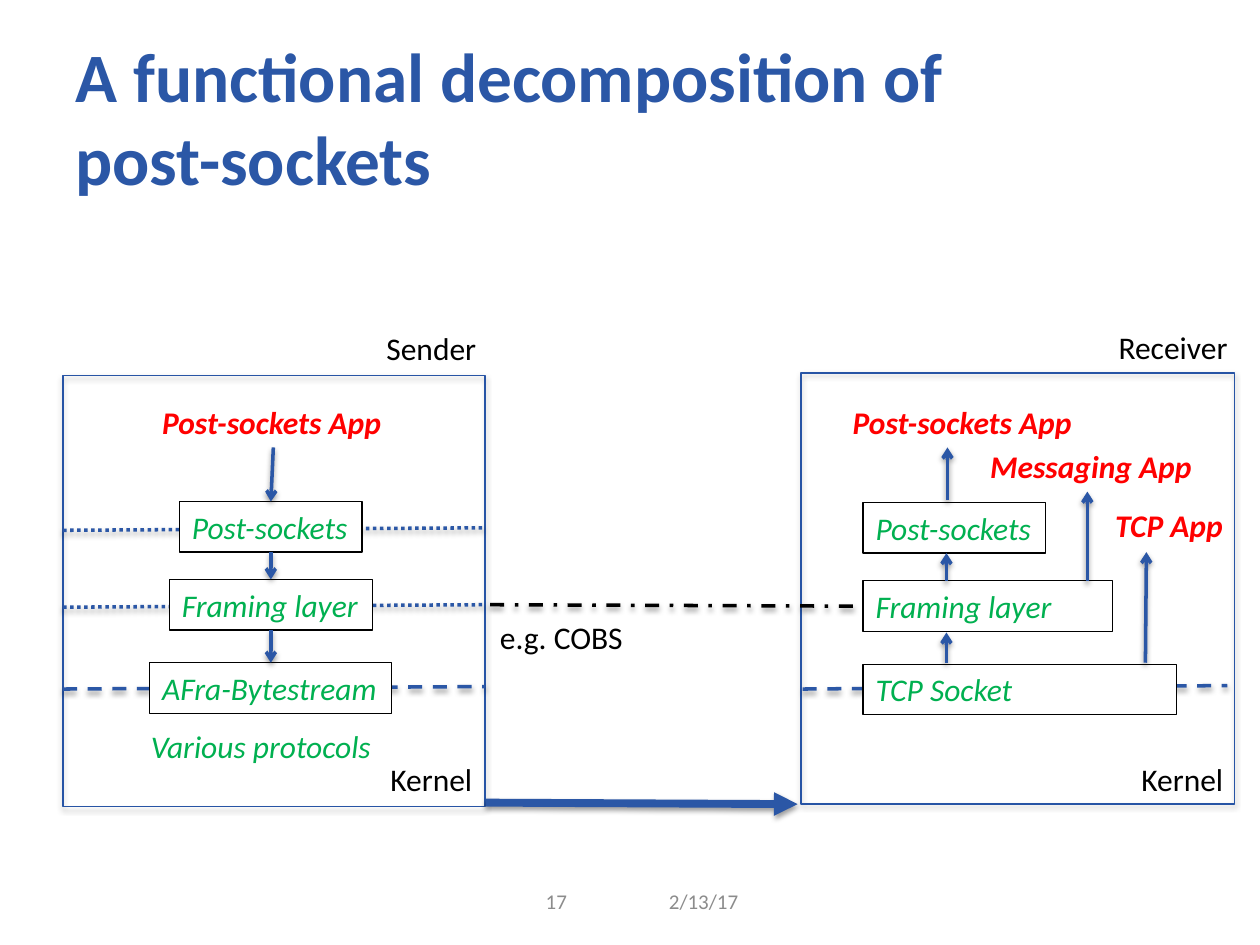
import pptx
import pptx.dml.color
import pptx.enum.dml
import pptx.enum.shapes
import pptx.enum.text
import pptx.oxml
import pptx.oxml.ns
import pptx.util
from lxml import etree

Cm, Pt = pptx.util.Cm, pptx.util.Pt
DASH = pptx.enum.dml.MSO_LINE
ALIGN = pptx.enum.text.PP_ALIGN
ANCHOR = pptx.enum.text.MSO_ANCHOR
AUTO_SIZE = pptx.enum.text.MSO_AUTO_SIZE

THEME = {
    "font": "Calibri",
    "blue": "2B57A6", "frame": "2754A5", "black": "000000", "white": "FFFFFF",
    "red": "FF0000", "green": "00B050", "grey": "8C8C8C",
    "title": 39.6, "body": 18, "footer": 12,
    "hairline": 0.75, "arrow": 2, "thick": 4.5,
}
STYLES = {
    "title": ("blue", {"size": Pt(THEME["title"]), "bold": True}),
    "plain": ("black", {"size": Pt(THEME["body"])}),
    "layer": ("green", {"size": Pt(THEME["body"]), "italic": True}),
    "app": ("red", {"size": Pt(THEME["body"]), "bold": True, "italic": True}),
    "footer": ("grey", {"size": Pt(THEME["footer"])}),
}
ROW_HEIGHT = 1.02

# All positions are in centimetres.
TITLE = "A functional decomposition of\vpost-sockets"
FRAMES = [(1.27, 7.57, 8.51, 8.69), (16.15, 7.52, 8.74, 8.69)]

# text, left, top, width, style
LABELS = [
    ("Sender", 7.54, 6.5, 2.34, "plain"),
    ("Receiver", 22.3, 6.48, 2.74, "plain"),
    ("Kernel", 7.62, 15.19, 2.18, "plain"),
    ("Kernel", 22.76, 15.19, 2.18, "plain"),
    ("e.g. COBS", 9.83, 12.34, 3.02, "plain"),
    ("Various protocols", 2.79, 14.53, 5, "layer"),
    ("Post-sockets App", 16.94, 8, 4.98, "app"),
    ("Messaging App", 19.71, 8.89, 4.62, "app"),
    ("TCP App", 22.23, 10.08, 2.72, "app"),
]
SENDER_APP = ("Post-sockets App", 3.02, 8, 4.98, "app")

# text, top, width
SENDER_CENTRE = 5.46
SENDER_LAYERS = [
    ("Post-sockets", 10.11, 3.68),
    ("Framing layer", 11.68, 4.09),
    ("AFra-Bytestream", 13.36, 4.88),
]
RECEIVER_LEFT = 17.4
RECEIVER_LAYERS = [
    ("Post-sockets", 10.13, 3.68),
    ("Framing layer", 11.71, 5.03),
    ("TCP Socket", 13.39, 6.32),
]

# start x, start y, end x, end y, dash
BOUNDARIES = [
    (1.27, 10.69, 9.78, 10.64, DASH.ROUND_DOT),
    (1.27, 12.24, 9.78, 12.19, DASH.ROUND_DOT),
    (1.27, 13.89, 9.78, 13.84, DASH.DASH),
    (16.18, 13.89, 24.74, 13.82, DASH.DASH),
]
NETWORK_ARROW = (9.8, 16.18, 16.08, 16.21)
FRAMING_LINK_START = (9.88, 12.19)
RECEIVER_ARROWS = [
    (19.08, 13.36, 19.08, 12.75),
    (19.08, 11.71, 19.08, 11.15),
    (19.1, 10.08, 19.1, 9.02),
    (21.92, 11.71, 21.92, 9.91),
    (23.09, 13.36, 23.11, 11.13),
]
FOOTERS = [("17", 9.73), ("2/13/17", 12.7)]
FOOTER_TOP, FOOTER_WIDTH = 17.65, 2.97


def rgb(name):
    return pptx.dml.color.RGBColor.from_string(THEME[name])


def write(shape, text, style, align=ALIGN.LEFT, **frame_format):
    frame = shape.text_frame
    for key, value in frame_format.items():
        setattr(frame, key, value)
    frame.text = text
    paragraph = frame.paragraphs[0]
    paragraph.alignment = align
    colour, font_format = STYLES[style]
    for run in paragraph.runs:
        run.font.name = THEME["font"]
        run.font.color.rgb = rgb(colour)
        for key, value in font_format.items():
            setattr(run.font, key, value)


def cast_shadow(shape, opacity):
    """Give the shape a soft shadow straight below it."""
    properties = shape._element.spPr
    for old in properties.findall(pptx.oxml.ns.qn("a:effectLst")):
        properties.remove(old)
    properties.append(pptx.oxml.parse_xml(
        f'<a:effectLst {pptx.oxml.ns.nsdecls("a")}>'
        f'<a:outerShdw blurRad="{Pt(3.1)}" dist="{Pt(1.7)}" dir="5400000" rotWithShape="0">'
        f'<a:srgbClr val="{THEME["black"]}"><a:alpha val="{opacity * 1000}"/></a:srgbClr>'
        '</a:outerShdw></a:effectLst>'))


def add_rectangle(slide, box, line):
    shape = slide.shapes.add_shape(pptx.enum.shapes.MSO_SHAPE.RECTANGLE, *map(Cm, box))
    shape.shadow.inherit = False
    shape.fill.background()
    shape.line.color.rgb = rgb(line)
    shape.line.width = Pt(THEME["hairline"])
    return shape


def add_layer(slide, text, left, top, width, wrap):
    shape = add_rectangle(slide, (left, top, width, ROW_HEIGHT), "black")
    shape.fill.solid()
    shape.fill.fore_color.rgb = rgb("white")
    write(shape, text, "layer", word_wrap=wrap, vertical_anchor=ANCHOR.TOP,
          auto_size=AUTO_SIZE.SHAPE_TO_FIT_TEXT)
    return shape


def add_label(slide, text, left, top, width, style):
    label = slide.shapes.add_textbox(*map(Cm, (left, top, width, ROW_HEIGHT)))
    write(label, text, style, word_wrap=False, auto_size=AUTO_SIZE.SHAPE_TO_FIT_TEXT)
    return label


def add_line(slide, ends, colour="blue", width="arrow", dash=None, head=None):
    line = slide.shapes.add_connector(
        pptx.enum.shapes.MSO_CONNECTOR.STRAIGHT, *map(Cm, ends))
    line.line.color.rgb = rgb(colour)
    line.line.width = Pt(THEME[width])
    if dash is not None:
        line.line.dash_style = dash
    if head:
        outline = line._element.spPr.find(pptx.oxml.ns.qn("a:ln"))
        etree.SubElement(outline, pptx.oxml.ns.qn("a:tailEnd"), type=head)
    cast_shadow(line, 38)
    return line


def main():
    deck = pptx.Presentation()
    deck.slide_width, deck.slide_height = Cm(25.4), Cm(19.05)
    slide = deck.slides.add_slide(deck.slide_layouts[5])

    title = slide.shapes.title
    title.left, title.top, title.width, title.height = map(Cm, (1.27, 0.76, 22.86, 3.18))
    write(title, TITLE, "title", vertical_anchor=ANCHOR.MIDDLE, word_wrap=True)

    for text, left in FOOTERS:
        footer = slide.shapes.add_textbox(
            *map(Cm, (left, FOOTER_TOP, FOOTER_WIDTH, ROW_HEIGHT)))
        write(footer, text, "footer", ALIGN.CENTER, word_wrap=True,
              vertical_anchor=ANCHOR.MIDDLE)

    for box in FRAMES:
        cast_shadow(add_rectangle(slide, box, "frame"), 35)
    for *ends, dash in BOUNDARIES:
        add_line(slide, ends, dash=dash)
    add_line(slide, NETWORK_ARROW, width="thick", head="triangle")

    sender_steps = [add_label(slide, *SENDER_APP)] + [
        add_layer(slide, text, SENDER_CENTRE - width / 2, top, width, False)
        for text, top, width in SENDER_LAYERS]
    for upper, lower in zip(sender_steps, sender_steps[1:]):
        arrow = add_line(slide, (0, 0, 0, 0), head="arrow")
        arrow.begin_connect(upper, 2)
        arrow.end_connect(lower, 0)

    receiver_layers = {
        text: add_layer(slide, text, RECEIVER_LEFT, top, width, True)
        for text, top, width in RECEIVER_LAYERS}
    framing_link = add_line(slide, FRAMING_LINK_START * 2, "black", dash=DASH.DASH_DOT)
    framing_link.end_connect(receiver_layers["Framing layer"], 1)
    for ends in RECEIVER_ARROWS:
        add_line(slide, ends, head="arrow")

    for label in LABELS:
        add_label(slide, *label)
    deck.save("out.pptx")


if __name__ == "__main__":
    main()
